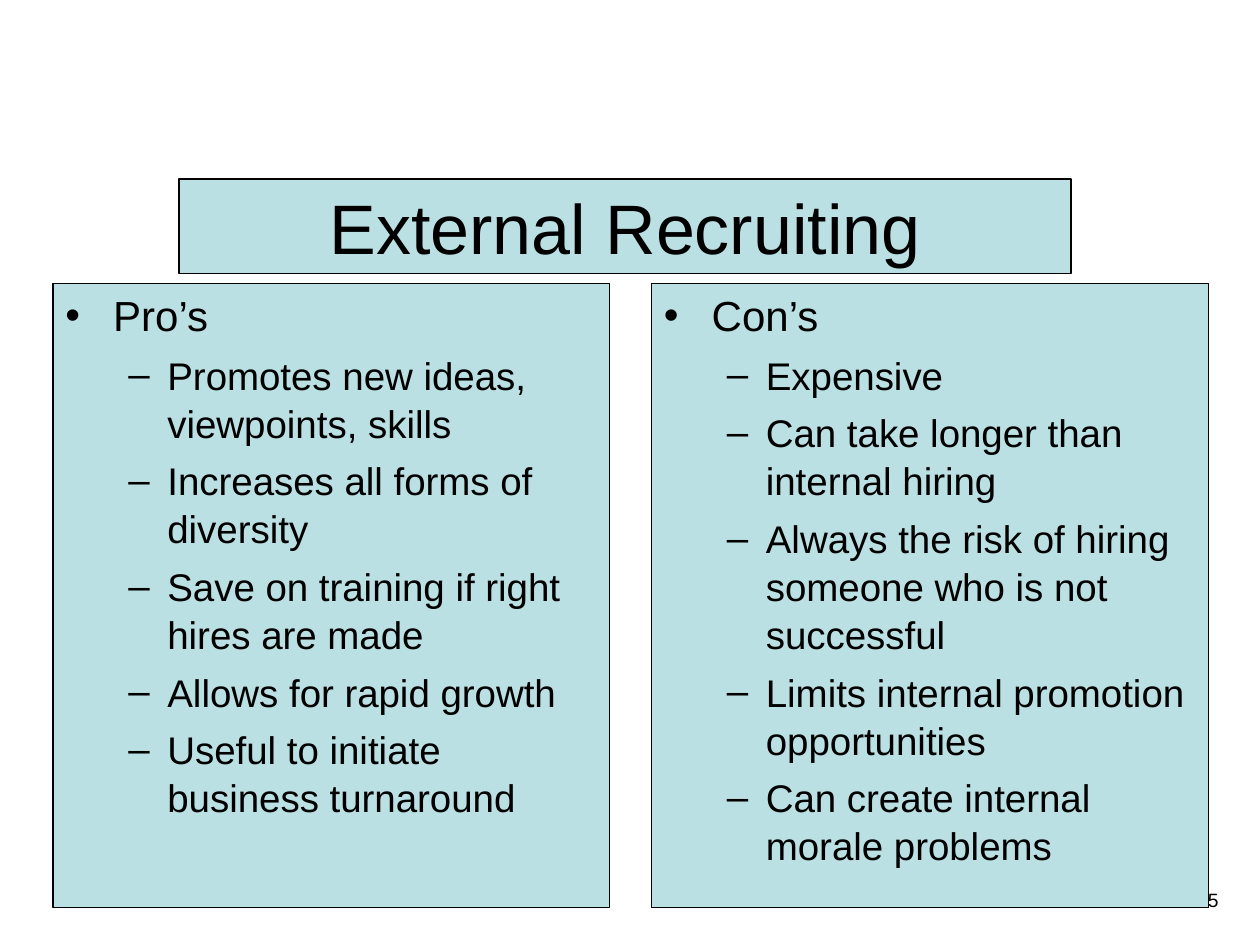
from dataclasses import dataclass

from lxml.etree import SubElement
from pptx import Presentation
from pptx.dml.color import RGBColor
from pptx.enum.shapes import MSO_SHAPE
from pptx.enum.text import MSO_ANCHOR, PP_ALIGN
from pptx.oxml.ns import qn
from pptx.util import Inches, Pt


@dataclass(frozen=True)
class Theme:
    font: str = "Arial"
    ink: RGBColor = RGBColor(0, 0, 0)
    panel: RGBColor = RGBColor(0xBB, 0xE0, 0xE3)
    title: float = 40
    heading: float = 24
    item: float = 22
    number: float = 11
    border: float = 0.75


class SlideBuilder:
    def __init__(self, slide, theme):
        self.slide = slide
        self.theme = theme

    def style(self, p, size):
        for r in p.runs:
            r.font.name = self.theme.font
            r.font.size = Pt(size)
            r.font.color.rgb = self.theme.ink

    def bullet(self, p, char, margin, hanging):
        pPr = p._p.get_or_add_pPr()
        pPr.set("marL", str(Inches(margin)))
        pPr.set("indent", str(-Inches(hanging)))
        color = SubElement(pPr, qn("a:buClr"))
        SubElement(color, qn("a:srgbClr"), val=str(self.theme.ink))
        SubElement(pPr, qn("a:buFont"), typeface=self.theme.font)
        SubElement(pPr, qn("a:buChar"), char=char)

    def page_number(self, text, left, top, width, height):
        sp = self.slide.shapes.add_textbox(
            Inches(left), Inches(top), Inches(width), Inches(height))
        tf = sp.text_frame
        tf.word_wrap = True
        tf.text = text
        p = tf.paragraphs[0]
        p.alignment = PP_ALIGN.RIGHT
        self.style(p, self.theme.number)

    def panel(self, left, top, width, height, anchor):
        sp = self.slide.shapes.add_shape(
            MSO_SHAPE.RECTANGLE,
            Inches(left), Inches(top), Inches(width), Inches(height))
        sp.shadow.inherit = False
        sp.fill.solid()
        sp.fill.fore_color.rgb = self.theme.panel
        sp.line.color.rgb = self.theme.ink
        sp.line.width = Pt(self.theme.border)
        tf = sp.text_frame
        tf.word_wrap = True
        tf.vertical_anchor = anchor
        return tf

    def title(self, text, left, top, width, height):
        tf = self.panel(left, top, width, height, MSO_ANCHOR.MIDDLE)
        tf.text = text
        p = tf.paragraphs[0]
        p.alignment = PP_ALIGN.CENTER
        self.style(p, self.theme.title)

    def bullet_panel(self, heading, items, left, top, width, height):
        tf = self.panel(left, top, width, height, MSO_ANCHOR.TOP)
        tf.text = heading
        p = tf.paragraphs[0]
        p.alignment = PP_ALIGN.LEFT
        self.bullet(p, "•", 0.38, 0.38)
        self.style(p, self.theme.heading)
        for item in items:
            p = tf.add_paragraph()
            p.text = item
            p.level = 1
            p.alignment = PP_ALIGN.LEFT
            p.line_spacing = 1.04
            p.space_before = Pt(5.5)
            self.bullet(p, "–", 0.81, 0.31)
            self.style(p, self.theme.item)


COLUMNS = [
    ("Pro’s", [
        "Promotes new ideas, viewpoints, skills",
        "Increases all forms of diversity",
        "Save on training if right hires are made",
        "Allows for rapid growth",
        "Useful to initiate business turnaround",
    ]),
    ("Con’s", [
        "Expensive",
        "Can take longer than internal hiring",
        "Always the risk of hiring someone who is not successful",
        "Limits internal promotion opportunities",
        "Can create internal morale problems",
    ]),
]


def main():
    prs = Presentation()
    prs.slide_width = Inches(10)
    prs.slide_height = Inches(7.5)
    s = prs.slides.add_slide(prs.slide_layouts[6])
    builder = SlideBuilder(s, Theme())

    builder.page_number("85", 7.44, 7, 2.33, 0.52)
    builder.title("External Recruiting", 1.42, 1.42, 7.08, 0.75)
    left, width, gap = 0.42, 4.42, 0.33
    for i, (heading, items) in enumerate(COLUMNS):
        builder.bullet_panel(
            heading, items, left + i * (width + gap), 2.25, width, 4.95)

    prs.save("out.pptx")


if __name__ == "__main__":
    main()
